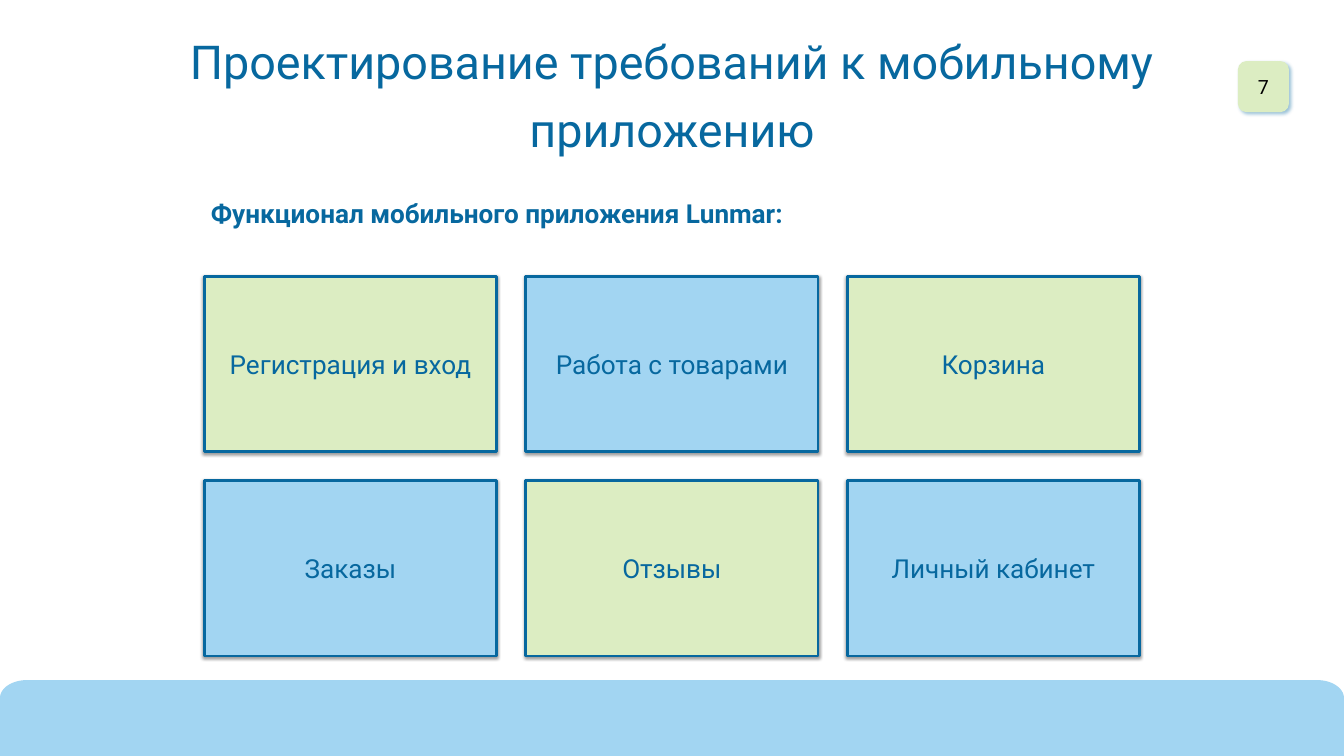
from dataclasses import dataclass
from math import cos, pi, sin

from lxml import etree
from pptx import Presentation
from pptx import util as u
from pptx.dml.color import RGBColor
from pptx.enum import shapes, text
from pptx.oxml.ns import qn


@dataclass(frozen=True)
class Theme:
    font: str = "Roboto"
    navy: str = "07689F"
    blue: str = "A2D5F2"
    green: str = "DCEDC2"
    black: str = "000000"
    title: int = 50
    body: int = 28
    small: int = 21
    lead: float = 72.8


def tint(fill, color):
    fill.solid()
    fill.fore_color.rgb = RGBColor.from_string(color)


class Deck:
    def __init__(self, theme, width, height):
        self.theme = theme
        self.file = Presentation()
        self.file.slide_width, self.file.slide_height = u.Cm(width), u.Cm(height)
        self.slide = self.file.slides.add_slide(self.file.slide_layouts[5])

    def letter(self, shape, words, size, color, bold=False, inset=0.0,
               align=text.PP_ALIGN.CENTER, anchor=text.MSO_ANCHOR.MIDDLE):
        """Set the words in a shape and return their paragraph."""
        frame = shape.text_frame
        frame.word_wrap = True
        frame.auto_size = text.MSO_AUTO_SIZE.NONE
        frame.vertical_anchor = anchor
        frame.margin_left = frame.margin_right = u.Cm(inset)
        frame.margin_top = frame.margin_bottom = u.Cm(inset / 2)
        para = frame.paragraphs[0]
        para.alignment = align
        run = para.add_run()
        run.text = words
        font = run.font
        font.name, font.size, font.bold = self.theme.font, u.Pt(size), bold
        font.color.rgb = RGBColor.from_string(color)
        return para

    def title(self, words, x, y, w, h):
        shape = self.slide.shapes.title
        shape.left, shape.top, shape.width, shape.height = map(u.Cm, (x, y, w, h))
        para = self.letter(shape, words, self.theme.title, self.theme.navy,
                           anchor=text.MSO_ANCHOR.TOP)
        para.line_spacing = u.Pt(self.theme.lead)

    def label(self, words, x, y, w, h):
        shape = self.slide.shapes.add_textbox(*map(u.Cm, (x, y, w, h)))
        self.letter(shape, words, self.theme.body, self.theme.navy, bold=True,
                    inset=0.25, align=text.PP_ALIGN.LEFT, anchor=text.MSO_ANCHOR.TOP)

    def box(self, kind, x, y, w, h, fill):
        shape = self.slide.shapes.add_shape(kind, *map(u.Cm, (x, y, w, h)))
        tint(shape.fill, fill)
        shape.line.fill.background()
        return shape

    def shade(self, shape, color, alpha, blur, dist, angle):
        """Give an outer shadow: alpha in percent, lengths in points, angle in degrees."""
        shape.shadow.inherit = False
        effects = shape._element.spPr.find(qn("a:effectLst"))
        outer = etree.SubElement(
            effects, qn("a:outerShdw"), blurRad=str(u.Pt(blur)), dist=str(u.Pt(dist)),
            dir=str(angle * 60000), algn="ctr", rotWithShape="0")
        hue = etree.SubElement(outer, qn("a:srgbClr"), val=color)
        etree.SubElement(hue, qn("a:alpha"), val=str(alpha * 1000))

    def badge(self, words, x, y, side):
        shape = self.box(shapes.MSO_SHAPE.ROUNDED_RECTANGLE, x, y, side, side,
                         self.theme.green)
        self.shade(shape, self.theme.navy, 40, 4, 3, 45)
        self.letter(shape, words, self.theme.small, self.theme.black)

    def card(self, words, x, y, w, h, fill):
        shape = self.box(shapes.MSO_SHAPE.RECTANGLE, x, y, w, h, fill)
        tint(shape.line.fill, self.theme.navy)
        shape.line.width = u.Pt(3)
        self.shade(shape, self.theme.black, 38, 3.1, 1.6, 90)
        self.letter(shape, words, self.theme.body, self.theme.navy, inset=0.3)

    def band(self, top, width, base, rx, ry, steps=16):
        """Fill the foot of the slide, with elliptic upper corners of radii rx and ry."""
        turns = [pi / 2 * i / steps for i in range(steps + 1)]
        left = [(rx - rx * cos(t), top + ry - ry * sin(t)) for t in turns]
        right = [(width - x, y) for x, y in reversed(left)]
        points = [(u.Cm(x), u.Cm(y)) for x, y in left + right + [(width, base)]]
        pen = self.slide.shapes.build_freeform(0, u.Cm(base))
        pen.add_line_segments(points, close=True)
        shape = pen.convert_to_shape()
        tint(shape.fill, self.theme.blue)
        shape.line.fill.background()
        shape.shadow.inherit = False


def main():
    theme = Theme()
    width, height = 50.8, 28.58
    deck = Deck(theme, width, height)
    deck.badge("7", 46.79, 2.31, 1.93)
    deck.band(25.71, width, height, 1.02, 0.68)
    deck.title("Проектирование требований к мобильному приложению",
               7.04, 0.79, 36.73, 4.98)
    deck.label("Функционал мобильного приложения Lunmar:", 7.72, 7.32, 22.81, 1.45)

    names = ("Регистрация и вход", "Работа с товарами", "Корзина",
             "Заказы", "Отзывы", "Личный кабинет")
    wide, high, gap = 11.05, 6.63, 1.1
    for i, name in enumerate(names):
        row, col = divmod(i, 3)
        deck.card(name, 7.72 + col * (wide + gap), 10.44 + row * (high + gap),
                  wide, high, (theme.green, theme.blue)[i % 2])
    deck.file.save("out.pptx")


if __name__ == "__main__":
    main()
